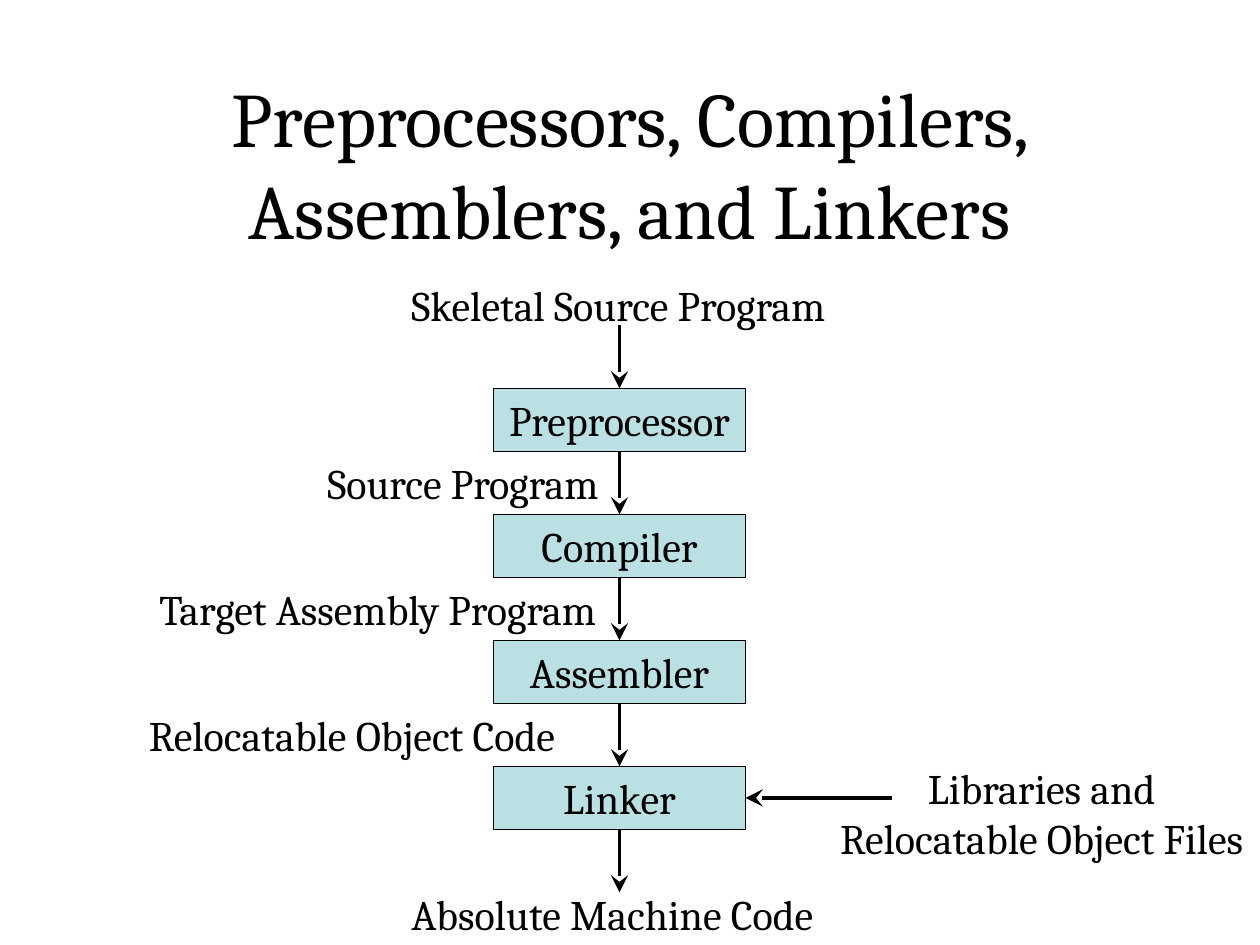
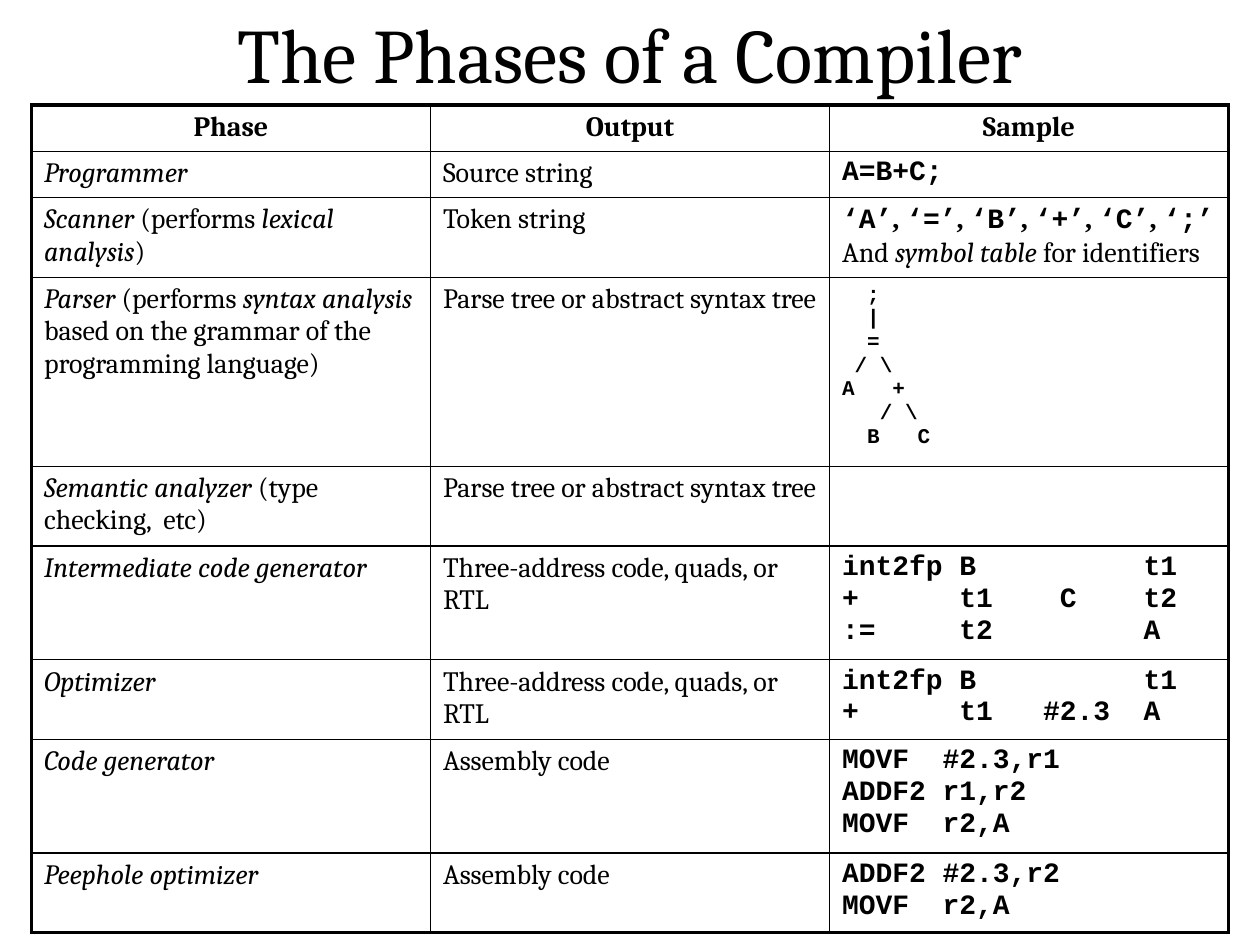
from copy import deepcopy
from lxml.etree import SubElement
from pptx import Presentation
from pptx.dml.color import RGBColor
from pptx.enum.shapes import MSO_CONNECTOR as Connector, MSO_SHAPE as Preset
from pptx.enum.text import MSO_ANCHOR as Anchor, MSO_AUTO_SIZE as AutoSize, PP_ALIGN as Align
from pptx.oxml.ns import qn
from pptx.util import Pt

# Shared look
PX = 7620  # 120 px to the inch
SLIDE_W, SLIDE_H = 1200, 900
BLACK, BOX_FILL = "000000", "BBE0E3"
SERIF, MONO, TIMES = "Cambria", "Courier New", "Times New Roman"
TITLE_PT, FLOW_PT, TABLE_PT, TREE_PT = 44, 24, 16, 12
OUTER_PT, INNER_PT, ARROW_PT = 2.25, 1, 2

# Slide 1: tool chain
CHAIN_TITLE = "Preprocessors, Compilers, Assemblers, and Linkers"
STAGES = ["Preprocessor", "Compiler", "Assembler", "Linker"]
STAGE_LEFT, STAGE_TOP, STAGE_W, STAGE_H, STEP = 470, 370, 240, 60, 120
FLOW_LABELS = [  # text, left, top, width, height, alignment
    ("Skeletal Source Program", 380, 260, 421, 60, Align.LEFT),
    ("Source Program", 300, 430, 283, 60, Align.LEFT),
    ("Target Assembly Program", 140, 550, 446, 60, Align.LEFT),
    ("Relocatable Object Code", 130, 670, 424, 60, Align.LEFT),
    ("Absolute Machine Code", 380, 840, 413, 60, Align.LEFT),
    ("Libraries and\nRelocatable Object Files", 784, 720, 416, 108, Align.CENTER),
]
LIBRARIES_X = 850

# Slide 2: phase table; a cell is a list of (text, style)
PHASES_TITLE = "The Phases of a Compiler"
STYLES = {  # font, size, bold, italic
    "plain": (SERIF, TABLE_PT, False, False),
    "head": (SERIF, TABLE_PT, True, False),
    "term": (SERIF, TABLE_PT, False, True),
    "code": (MONO, TABLE_PT, True, False),
    "comma": (TIMES, TABLE_PT, True, False),
    "tree": (MONO, TREE_PT, True, False),
}
TOKENS = ["‘A’", "‘=’", "‘B’", "‘+’", "‘C’", "‘;’\n"]
TOKEN_RUNS = [run for token in TOKENS for run in ((token, "code"), (", ", "comma"))][:-1]
PARSE_TREE = r"""  ;
  |
  =
 / \
A   +
   / \
  B   C"""
PHASES = [  # row height, phase, output, sample
    (44, [("Phase", "head")], [("Output", "head")], [("Sample", "head")]),
    (44, [("Programmer", "term")], [("Source string", "plain")], [("A=B+C;", "code")]),
    (76, [("Scanner", "term"), (" (performs ", "plain"), ("lexical analysis", "term"), (")", "plain")],
     [("Token string", "plain")],
     TOKEN_RUNS + [("And ", "plain"), ("symbol table", "term"), (" for identifiers", "plain")]),
    (180, [("Parser", "term"), (" (performs", "plain"), (" syntax analysis", "term"),
           (" based on the grammar of the programming language)", "plain")],
     [("Parse tree or abstract syntax tree", "plain")], [(PARSE_TREE, "tree")]),
    (76, [("Semantic analyzer", "term"), (" (type checking,  etc)", "plain")],
     [("Parse tree or abstract syntax tree", "plain")], []),
    (108, [("Intermediate code generator", "term")], [("Three-address code, quads, or RTL", "plain")],
     [("int2fp B          t1\n+      t1    C    t2\n:=     t2         A", "code")]),
    (76, [("Optimizer", "term")], [("Three-address code, quads, or RTL", "plain")],
     [("int2fp B          t1\n+      t1   #2.3  A", "code")]),
    (108, [("Code generator", "term")], [("Assembly code", "plain")],
     [("MOVF  #2.3,r1\nADDF2 r1,r2\nMOVF  r2,A", "code")]),
    (76, [("Peephole optimizer", "term")], [("Assembly code", "plain")],
     [("ADDF2 #2.3,r2\nMOVF  r2,A", "code")]),
]
TABLE_LEFT, TABLE_TOP, COLUMN_W = 30, 100, 380


def px(*lengths):
    return [length * PX for length in lengths]


def color(value):
    return RGBColor.from_string(value)


def style_run(run, font, size, bold=False, italic=False):
    run.font.name, run.font.size = font, Pt(size)
    run.font.bold, run.font.italic = bold, italic
    run.font.color.rgb = color(BLACK)


def write(frame, text, size, align, wrap):
    frame.text = text
    frame.word_wrap = wrap
    for paragraph in frame.paragraphs:
        paragraph.alignment = align
        for run in paragraph.runs:
            style_run(run, SERIF, size)


def add_title(slide, text, top, height):
    frame = slide.shapes.add_textbox(*px(90, top, 1020, height)).text_frame
    write(frame, text, TITLE_PT, Align.CENTER, True)
    frame.vertical_anchor = Anchor.MIDDLE


def add_stage(slide, text, top):
    stage = slide.shapes.add_shape(Preset.RECTANGLE, *px(STAGE_LEFT, top, STAGE_W, STAGE_H))
    stage.shadow.inherit = False
    stage.fill.solid()
    stage.fill.fore_color.rgb = color(BOX_FILL)
    stage.line.color.rgb = color(BLACK)
    stage.line.width = Pt(0.75)
    write(stage.text_frame, text, FLOW_PT, Align.CENTER, False)
    stage.text_frame.vertical_anchor = Anchor.MIDDLE


def add_arrow(slide, *ends):
    arrow = slide.shapes.add_connector(Connector.STRAIGHT, *px(*ends))
    arrow.line.color.rgb = color(BLACK)
    arrow.line.width = Pt(ARROW_PT)
    properties = arrow._element.spPr
    SubElement(properties.find(qn("a:ln")), qn("a:tailEnd"), type="stealth", w="lg", len="lg")
    SubElement(properties, qn("a:effectLst"))


def write_cell(cell, parts, align):
    paragraph = cell.text_frame.paragraphs[0]
    paragraph.alignment = align
    before = SubElement(paragraph._p.get_or_add_pPr(), qn("a:spcBef"))
    SubElement(before, qn("a:spcPct"), val="20000")
    for text, style in parts:
        for number, line in enumerate(text.split("\n")):
            if number:  # the break keeps the size of the line it ends
                line_break = SubElement(paragraph._p, qn("a:br"))
                line_break.append(deepcopy(run._r.rPr))
            if line:
                run = paragraph.add_run()
                run.text = line
                style_run(run, *STYLES[style])


def border_cell(cell, outer_sides):
    properties = cell._tc.get_or_add_tcPr()
    for side in "LRTB":
        width = Pt(OUTER_PT if side in outer_sides else INNER_PT)
        line = SubElement(properties, qn(f"a:ln{side}"), w=str(width))
        SubElement(SubElement(line, qn("a:solidFill")), qn("a:srgbClr"), val=BLACK)
    cell.fill.background()


def build_chain(slide):
    add_title(slide, CHAIN_TITLE, 80, 150)
    for row, stage in enumerate(STAGES):
        add_stage(slide, stage, STAGE_TOP + row * STEP)
    for text, left, top, width, height, align in FLOW_LABELS:
        frame = slide.shapes.add_textbox(*px(left, top, width, height)).text_frame
        write(frame, text, FLOW_PT, align, False)
        frame.auto_size = AutoSize.SHAPE_TO_FIT_TEXT

    # One arrow into each stage, one out of the last, one from the libraries
    center = STAGE_LEFT + STAGE_W // 2
    for row in range(len(STAGES) + 1):
        tip = STAGE_TOP + row * STEP
        add_arrow(slide, center, tip - STEP + STAGE_H, center, tip)
    linker_y = STAGE_TOP + (len(STAGES) - 1) * STEP + STAGE_H // 2
    add_arrow(slide, LIBRARIES_X, linker_y, STAGE_LEFT + STAGE_W, linker_y)


def build_phases(slide):
    add_title(slide, PHASES_TITLE, 0, 100)
    last_row, last_column = len(PHASES) - 1, 2
    total = sum(height for height, *_ in PHASES)
    table = slide.shapes.add_table(last_row + 1, last_column + 1,
                                   *px(TABLE_LEFT, TABLE_TOP, 3 * COLUMN_W, total)).table
    table.first_row = table.horz_banding = False
    for column in table.columns:
        column.width = COLUMN_W * PX
    for r, (height, *cells) in enumerate(PHASES):
        table.rows[r].height = height * PX
        for c, parts in enumerate(cells):
            edges = {"L": c == 0, "R": c == last_column, "T": r == 0, "B": r == last_row}
            cell = table.cell(r, c)
            write_cell(cell, parts, Align.LEFT if r else Align.CENTER)
            border_cell(cell, [side for side, outer in edges.items() if outer])


def main():
    deck = Presentation()
    deck.slide_width, deck.slide_height = px(SLIDE_W, SLIDE_H)
    for build in (build_chain, build_phases):
        build(deck.slides.add_slide(deck.slide_layouts[6]))
    deck.save("out.pptx")


if __name__ == "__main__":
    main()
